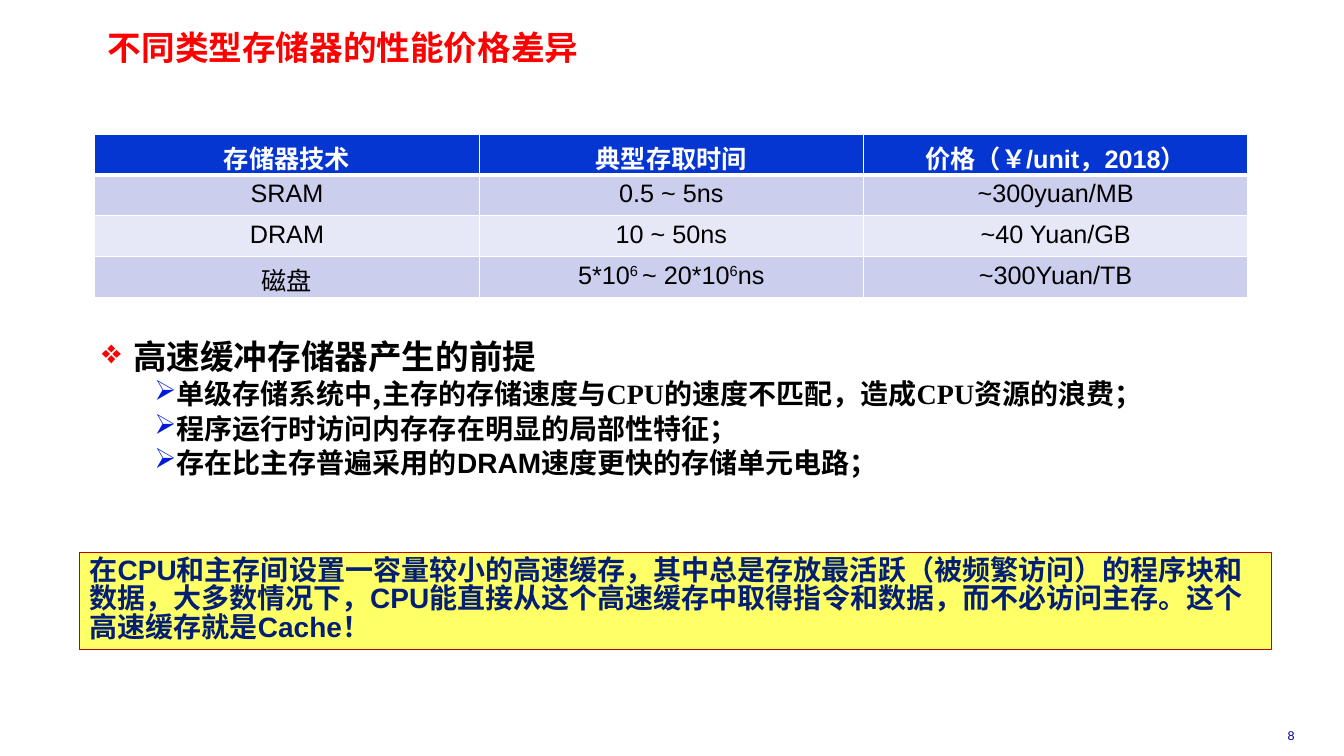
from dataclasses import dataclass

from lxml import etree
from pptx import Presentation
from pptx.dml.color import RGBColor
from pptx.enum import shapes, text
from pptx.oxml import ns
from pptx import util as u


@dataclass(frozen=True)
class Theme:
    """Hold the colours, fonts and type sizes of the slide."""

    title: str = "FF0000"
    body: str = "000000"
    page: str = "000099"
    white: str = "FFFFFF"
    header: str = "0536D2"
    bands: tuple = ("CCCEEE", "E7E8F7")
    bullets: tuple = ("FF0000", "001ADC")
    summary_fill: str = "FFFF66"
    summary_line: str = "C00000"
    summary_text: str = "031F74"
    sans: str = "Arial"
    mono: str = "Courier New"
    serif: str = "Times New Roman"
    chinese: str = "Noto Sans CJK SC"
    heading_size: int = 24
    point_size: int = 20
    table_size: int = 18
    page_size: int = 9


THEME = Theme()
SLIDE_SIZE = (u.Inches(13.333), u.Inches(7.5))
NARROW = (0.07, 0.03)
CELL = (0.13, 0.05)

TABLE = [
    ["存储器技术", "典型存取时间", "价格（￥/unit，2018）"],
    ["SRAM", "0.5 ~ 5ns", "~300yuan/MB"],
    ["DRAM", "10 ~ 50ns", "~40 Yuan/GB"],
    ["磁盘", "5*10^6 ^~ 20*10^6^ns", "~300Yuan/TB"],
]
PREMISES = [
    (0, [("高速缓冲存储器产生的前提", THEME.sans)]),
    (1, [
        ("单级存储系统中,主存的存储速度与", THEME.chinese),
        ("CPU", THEME.serif),
        ("的速度不匹配，造成", THEME.chinese),
        ("CPU", THEME.serif),
        ("资源的浪费；", THEME.chinese),
    ]),
    (1, [("程序运行时访问内存存在明显的局部性特征；", THEME.chinese)]),
    (1, [("存在比主存普遍采用的DRAM速度更快的存储单元电路；", THEME.sans)]),
]
SUMMARY = (
    "在CPU和主存间设置一容量较小的高速缓存，其中总是存放最活跃（被频繁访问）的程序块和"
    "数据，大多数情况下，CPU能直接从这个高速缓存中取得指令和数据，而不必访问主存。"
    "这个高速缓存就是Cache！"
)


def area(left, top, width, height):
    """Turn percentages of the slide's size into lengths."""
    slide_width, slide_height = SLIDE_SIZE
    return [
        u.Emu(int(share * side / 100))
        for share, side in (
            (left, slide_width), (top, slide_height),
            (width, slide_width), (height, slide_height),
        )
    ]


def style(font, size, color, name=THEME.sans, bold=True):
    """Set the look of a font."""
    font.size = u.Pt(size)
    font.name = name
    font.bold = bold
    font.color.rgb = RGBColor.from_string(color)


def set_margins(frame, margins):
    """Set the side and the top and bottom margins of a frame or cell."""
    side, end = map(u.Inches, margins)
    frame.margin_left = frame.margin_right = side
    frame.margin_top = frame.margin_bottom = end


def add_text_box(slide, place, margins=NARROW):
    """Add a wrapping text box and return its text frame."""
    frame = slide.shapes.add_textbox(*place).text_frame
    frame.word_wrap = True
    set_margins(frame, margins)
    return frame


def add_line(frame, content, size, color, name=THEME.sans, bold=True, spacing=1.0):
    """Write one paragraph into a frame and return it."""
    frame.text = content
    paragraph = frame.paragraphs[0]
    paragraph.line_spacing = spacing
    style(paragraph.runs[0].font, size, color, name, bold)
    return paragraph


def set_borders(cell, row):
    """Draw white cell borders, thicker below the header."""
    properties = cell._tc.get_or_add_tcPr()
    thick = {(0, "B"), (1, "T")}
    for side in "LRTB":
        width = u.Pt(3 if (row, side) in thick else 1)
        line = etree.SubElement(properties, ns.qn(f"a:ln{side}"), w=str(width))
        fill = etree.SubElement(line, ns.qn("a:solidFill"))
        etree.SubElement(fill, ns.qn("a:srgbClr"), val=THEME.white)


def fill_cell(cell, content, row):
    """Fill a table cell, raising the parts between carets."""
    header = row == 0
    set_margins(cell, CELL)
    set_borders(cell, row)
    cell.fill.solid()
    color = THEME.header if header else THEME.bands[(row - 1) % 2]
    cell.fill.fore_color.rgb = RGBColor.from_string(color)
    paragraph = cell.text_frame.paragraphs[0]
    paragraph.alignment = text.PP_ALIGN.CENTER
    for index, part in enumerate(content.split("^")):
        run = paragraph.add_run()
        run.text = part
        style(run.font, THEME.table_size, THEME.white if header else THEME.body, bold=header)
        if index % 2:
            run._r.get_or_add_rPr().set("baseline", "30000")


def add_table(slide, place, rows):
    """Add a table with equal columns and rows."""
    table = slide.shapes.add_table(len(rows), len(rows[0]), *place).table
    for row, contents in enumerate(rows):
        for column, content in enumerate(contents):
            fill_cell(table.cell(row, column), content, row)


def set_bullet(paragraph, level):
    """Give a paragraph the bullet and indent of its level."""
    margin, hang = ((0.31, 0.31), (0.73, 0.21))[level]
    properties = paragraph._p.get_or_add_pPr()
    properties.set("marL", str(u.Inches(margin)))
    properties.set("indent", str(-u.Inches(hang)))
    color = etree.SubElement(properties, ns.qn("a:buClr"))
    etree.SubElement(color, ns.qn("a:srgbClr"), val=THEME.bullets[level])
    etree.SubElement(properties, ns.qn("a:buChar"), char="❖➢"[level])


def add_bullets(slide, place, items):
    """Add a two-level bulleted list."""
    frame = add_text_box(slide, place)
    for index, (level, parts) in enumerate(items):
        paragraph = frame.add_paragraph() if index else frame.paragraphs[0]
        size = (THEME.heading_size, THEME.point_size)[level]
        paragraph.level = level
        set_bullet(paragraph, level)
        paragraph.line_spacing = 0.85
        paragraph.space_before = u.Pt(size * 0.1 if index else 0)
        paragraph.space_after = u.Pt(size * 0.1)
        for content, name in parts:
            run = paragraph.add_run()
            run.text = content
            style(run.font, size, THEME.body, name)


def add_summary(slide, place, content):
    """Add the framed conclusion."""
    shape = slide.shapes.add_shape(shapes.MSO_SHAPE.RECTANGLE, *place)
    shape.shadow.inherit = False
    shape.fill.solid()
    shape.fill.fore_color.rgb = RGBColor.from_string(THEME.summary_fill)
    shape.line.color.rgb = RGBColor.from_string(THEME.summary_line)
    shape.line.width = u.Pt(0.75)
    frame = shape.text_frame
    frame.word_wrap = True
    frame.vertical_anchor = text.MSO_ANCHOR.TOP
    paragraph = add_line(frame, content, THEME.point_size, THEME.summary_text, spacing=0.85)
    paragraph.alignment = text.PP_ALIGN.LEFT


def main():
    """Build and save the slide."""
    presentation = Presentation()
    presentation.slide_width, presentation.slide_height = SLIDE_SIZE
    slide = presentation.slides.add_slide(presentation.slide_layouts[6])
    title = add_text_box(slide, area(7.5, 3.87, 57.53, 5.47))
    add_line(title, "不同类型存储器的性能价格差异", THEME.heading_size, THEME.title, THEME.mono, spacing=0.87)
    add_table(slide, area(7.05, 17.73, 85.8, 21.6), TABLE)
    add_bullets(slide, area(7.05, 44.8, 87.53, 19.6), PREMISES)
    add_summary(slide, area(5.93, 73.07, 88.65, 12.8), SUMMARY)
    page = add_text_box(slide, area(92.55, 95.6, 7.05, 3.33), (0.1, 0.05))
    number = add_line(page, "8", THEME.page_size, THEME.page, bold=False)
    number.alignment = text.PP_ALIGN.CENTER
    presentation.save("out.pptx")


if __name__ == "__main__":
    main()
